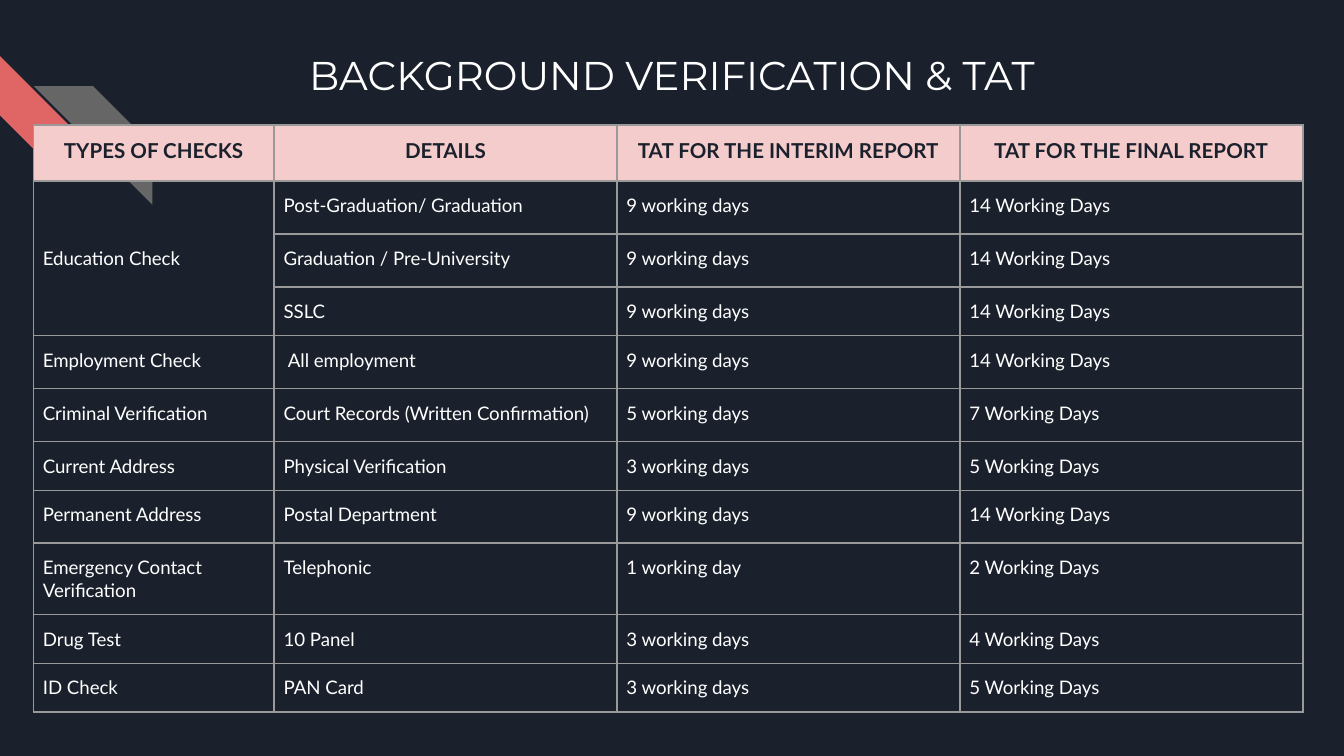
from lxml import etree
from pptx import Presentation
from pptx.dml.color import RGBColor
from pptx.enum.shapes import MSO_SHAPE
from pptx.enum.text import MSO_ANCHOR, PP_ALIGN
from pptx.oxml.ns import qn
from pptx.util import Cm, Pt

DIAGONAL_STRIPE = MSO_SHAPE.DIAGONAL_STRIPE
MIDDLE, TOP = MSO_ANCHOR.MIDDLE, MSO_ANCHOR.TOP
LEFT, CENTER = PP_ALIGN.LEFT, PP_ALIGN.CENTER

NAVY, WHITE, CORAL = "1B212C", "FFFFFF", "E06666"
GREY, PINK, BORDER = "666666", "F4CCCC", "999999"

COLUMN_WIDTHS = (4.55, 6.48, 6.48, 6.48)
ROW_HEIGHTS = (1.06, 1, 1, 0.87, 1, 1, 0.87, 1, 1.33, 0.87, 0.87)
HEADERS = ("TYPES OF CHECKS", "DETAILS", "TAT FOR THE INTERIM REPORT", "TAT FOR THE FINAL REPORT")
CHECKS = (
    ("Education Check", "Post-Graduation/ Graduation", "9 working days", "14 Working Days"),
    ("", "Graduation / Pre-University", "9 working days", "14 Working Days"),
    ("", "SSLC", "9 working days", "14 Working Days"),
    ("Employment Check", "All employment", "9 working days", "14 Working Days"),
    ("Criminal Verification", "Court Records (Written Confirmation)", "5 working days", "7 Working Days"),
    ("Current Address", "Physical Verification", "3 working days", "5 Working Days"),
    ("Permanent Address", "Postal Department", "9 working days", "14 Working Days"),
    ("Emergency Contact Verification", "Telephonic", "1 working day", "2 Working Days"),
    ("Drug Test", "10 Panel", "3 working days", "4 Working Days"),
    ("ID Check", "PAN Card", "3 working days", "5 Working Days"),
)


def color(value):
    """Turn a hex string into a colour."""
    return RGBColor.from_string(value)


def format_text(text_frame, font_name, size, text_color, alignment, bold=False):
    """Format every paragraph of a text frame alike."""
    for paragraph in text_frame.paragraphs:
        paragraph.alignment = alignment
        for run in paragraph.runs:
            run.font.name = font_name
            run.font.size = Pt(size)
            run.font.bold = bold
            run.font.color.rgb = color(text_color)


def add_stripe(slide, left, top, rotation, fill_color):
    """Add a decorative diagonal stripe."""
    shape = slide.shapes.add_shape(DIAGONAL_STRIPE, Cm(left), Cm(top), Cm(2.24), Cm(2.24))
    shape.rotation = rotation
    shape.shadow.inherit = False
    shape.fill.solid()
    shape.fill.fore_color.rgb = color(fill_color)
    shape.line.fill.background()


def add_title(slide, text):
    """Add the centred slide title."""
    shape = slide.shapes.add_textbox(Cm(2.92), Cm(0.71), Cm(19.56), Cm(1.5))
    text_frame = shape.text_frame
    text_frame.word_wrap = True
    text_frame.vertical_anchor = TOP
    text_frame.margin_left = text_frame.margin_right = Cm(0.25)
    text_frame.margin_top = text_frame.margin_bottom = Cm(0.25)
    text_frame.text = text
    format_text(text_frame, "Montserrat", 21.5, WHITE, CENTER)


def add_borders(cell):
    """Draw a thin line on all four sides of a cell."""
    properties = cell._tc.get_or_add_tcPr()
    for side in ("a:lnL", "a:lnR", "a:lnT", "a:lnB"):
        line = etree.SubElement(properties, qn(side), w=str(Pt(1)))
        fill = etree.SubElement(line, qn("a:solidFill"))
        etree.SubElement(fill, qn("a:srgbClr"), val=BORDER)


def fill_cell(cell, text, is_header):
    """Write and style one table cell."""
    cell.margin_left = cell.margin_right = Cm(0.18)
    cell.margin_top = cell.margin_bottom = Cm(0.25)
    cell.text = text
    add_borders(cell)
    if is_header:
        cell.fill.solid()
        cell.fill.fore_color.rgb = color(PINK)
        format_text(cell.text_frame, "Lato", 11, NAVY, CENTER, True)
    else:
        cell.fill.background()
        format_text(cell.text_frame, "Lato", 10, WHITE, LEFT)


def add_checks_table(slide):
    """Add the table of checks and turnaround times."""
    rows = (HEADERS, *CHECKS)
    frame = slide.shapes.add_table(
        len(rows), len(HEADERS), Cm(0.63), Cm(2.36), Cm(sum(COLUMN_WIDTHS)), Cm(sum(ROW_HEIGHTS))
    )
    table = frame.table
    table.first_row = table.horz_banding = False
    for column, width in zip(table.columns, COLUMN_WIDTHS):
        column.width = Cm(width)
    for row, height in zip(table.rows, ROW_HEIGHTS):
        row.height = Cm(height)
    for row_index, texts in enumerate(rows):
        for column_index, text in enumerate(texts):
            fill_cell(table.cell(row_index, column_index), text, row_index == 0)
    education = table.cell(1, 0)
    education.merge(table.cell(3, 0))
    education.vertical_anchor = MIDDLE
    table.cell(4, 1).margin_left = Cm(0.26)


def main():
    """Build and save the slide."""
    presentation = Presentation()
    presentation.slide_width = Cm(25.4)
    presentation.slide_height = Cm(14.29)
    slide = presentation.slides.add_slide(presentation.slide_layouts[6])
    slide.background.fill.solid()
    slide.background.fill.fore_color.rgb = color(NAVY)
    add_stripe(slide, 0, 1.06, 270, CORAL)
    add_stripe(slide, 0.64, 1.63, 90, GREY)
    add_checks_table(slide)
    add_title(slide, "BACKGROUND VERIFICATION & TAT")
    presentation.save("out.pptx")


if __name__ == "__main__":
    main()
